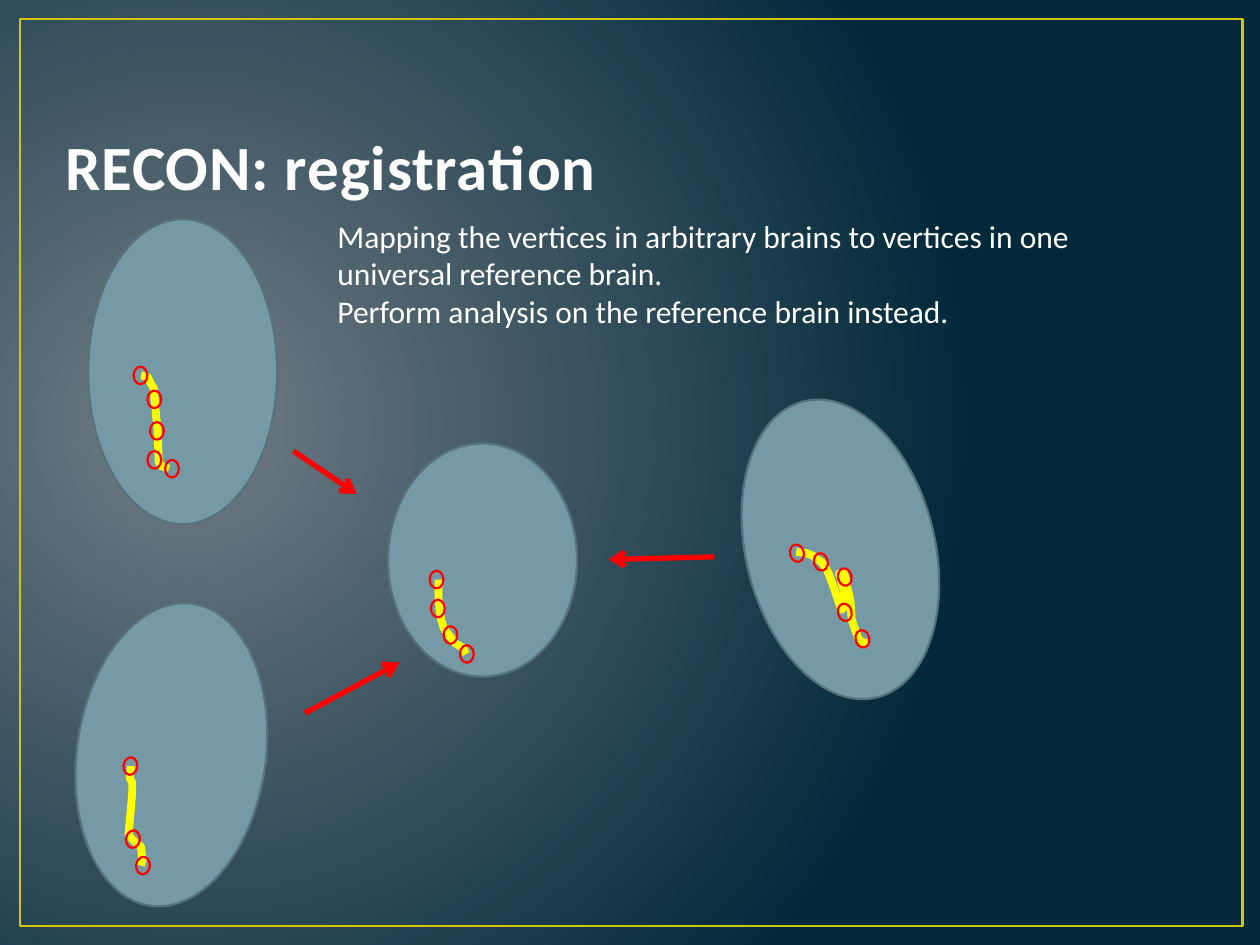
from lxml import etree
from pptx import Presentation
from pptx import util as u
from pptx.dml.color import RGBColor
from pptx.enum import shapes, text
from pptx.oxml import ns

PX = 9144
GLOW = RGBColor(0x71, 0x7C, 0x84)
NAVY = RGBColor(0x01, 0x29, 0x3A)
GOLD = RGBColor(0xCF, 0xC6, 0x0D)
OFF_WHITE = RGBColor(0xFE, 0xFE, 0xFE)
WHITE = RGBColor(0xFF, 0xFF, 0xFF)
BRAIN = RGBColor(0x75, 0x9A, 0xA5)
BRAIN_EDGE = RGBColor(0x57, 0x72, 0x7A)
YELLOW = RGBColor(0xFF, 0xFF, 0x00)
RED = RGBColor(0xFF, 0x00, 0x00)
VERTEX = (11, 14)

BRAINS = [
    dict(box=(308, 352, 150, 185), angle=0,
         trace=[(40, 108), (40, 123), (42, 139), (44, 146), (49, 153),
                (54, 159), (59, 162), (62, 167)],
         vertices=[(33, 101), (34, 124), (57, 160), (44, 145)]),
    dict(box=(70, 174, 150, 242), angle=0,
         trace=[(42, 124), (47, 125), (50, 131), (52, 134), (54, 157),
                (55, 165), (56, 193), (58, 196), (64, 198)],
         vertices=[(36, 117), (47, 136), (49, 161), (47, 184), (61, 191)]),
    dict(box=(61, 478, 150, 242), angle=7.9,
         trace=[(43, 130), (42, 140), (44, 143), (44, 149), (43, 163),
                (41, 184), (43, 187), (46, 190), (48, 192), (51, 194),
                (52, 205), (51, 209)],
         vertices=[(37, 123), (39, 181), (47, 202)]),
    dict(box=(592, 315, 150, 242), angle=346.1,
         trace=[(40, 123), (48, 124), (53, 126), (55, 128), (60, 131),
                (63, 135), (66, 141), (70, 152), (75, 167), (76, 169),
                (78, 167), (79, 161), (79, 159), (74, 140), (78, 140),
                (83, 162), (84, 177), (89, 191), (91, 194), (94, 195),
                (97, 196)],
         vertices=[(35, 117), (73, 164), (73, 136), (87, 185), (54, 124)]),
]
ARROWS = [(233, 358, 283, 392), (242, 566, 317, 526), (567, 442, 483, 444)]


def emu(lengths):
    """Turn px lengths into EMU."""
    return [u.Emu(n * PX) for n in lengths]


def style(sp, line, width, fill=None):
    """Set the outline and fill of a shape and drop its shadow."""
    sp.shadow.inherit = False
    sp.line.color.rgb = line
    sp.line.width = u.Pt(width)
    if fill is None:
        sp.fill.background()
    else:
        sp.fill.solid()
        sp.fill.fore_color.rgb = fill


def add_preset(parent, kind, box, line, width, fill=None, angle=0):
    """Add a preset shape to a slide or group."""
    sp = parent.shapes.add_shape(kind, *emu(box))
    sp.rotation = angle
    style(sp, line, width, fill)


def add_text(s, box, lines, size, color, bold=None, spacing=None,
             anchor=text.MSO_ANCHOR.TOP, fit=text.MSO_AUTO_SIZE.NONE):
    """Add a wrapped text box with one paragraph per line."""
    tf = s.shapes.add_textbox(*emu(box)).text_frame
    tf.word_wrap = True
    tf.auto_size = fit
    tf.vertical_anchor = anchor
    for i, line in enumerate(lines):
        p = tf.add_paragraph() if i else tf.paragraphs[0]
        r = p.add_run()
        r.text = line
        r.font.name = "Calibri"
        r.font.size = u.Pt(size)
        r.font.bold = bold
        r.font.color.rgb = color
        if spacing:
            r.font._element.set("spc", str(spacing))


def add_background(s):
    """Paint a circular gradient glowing from the left."""
    fill = s.background.fill
    fill.gradient()
    for stop, color, position in zip(fill.gradient_stops, (GLOW, NAVY), (0, 1)):
        stop.color.rgb = color
        stop.position = position
    grad = s.element.find(".//" + ns.qn("a:gradFill"))
    grad.remove(grad.find(ns.qn("a:lin")))
    circle = etree.SubElement(grad, ns.qn("a:path"), path="circle")
    etree.SubElement(circle, ns.qn("a:fillToRect"),
                     l="15000", t="50000", r="85000", b="60000")


def add_brain(s, box, angle, trace, vertices):
    """Draw a brain with its yellow trace and red vertices in a box."""
    x, y = box[:2]
    group = s.shapes.add_group_shape()
    oval = shapes.MSO_SHAPE.OVAL
    add_preset(group, oval, box, BRAIN_EDGE, 1.25, BRAIN, angle)
    points = [(x + dx, y + dy) for dx, dy in trace]
    builder = group.shapes.build_freeform(*points[0], scale=PX)
    builder.add_line_segments(points[1:], close=False)
    style(builder.convert_to_shape(), YELLOW, 4.5)
    for dx, dy in vertices:
        add_preset(group, oval, (x + dx, y + dy, *VERTEX), RED, 1.25, angle=angle)


def add_arrow(s, ends):
    """Draw a red arrow pointing at the reference brain."""
    c = s.shapes.add_connector(shapes.MSO_CONNECTOR.STRAIGHT, *emu(ends))
    c.line.color.rgb = RED
    c.line.width = u.Pt(3)
    etree.SubElement(c.line._get_or_add_ln(), ns.qn("a:tailEnd"), type="arrow")
    etree.SubElement(c._element.spPr, ns.qn("a:effectLst"))


def main():
    """Build the registration slide and save it."""
    prs = Presentation()
    prs.slide_width, prs.slide_height = emu((1000, 750))
    s = prs.slides.add_slide(prs.slide_layouts[6])
    add_background(s)
    add_preset(s, shapes.MSO_SHAPE.RECTANGLE, (16, 15, 970, 720), GOLD, 1.5)
    add_text(s, (42, 58, 937, 108), ["RECON: registration"], 36, OFF_WHITE,
             bold=True, spacing=50, anchor=text.MSO_ANCHOR.BOTTOM)
    for brain in BRAINS:
        add_brain(s, **brain)
    add_text(s, (258, 167, 617, 101),
             ["Mapping the vertices in arbitrary brains to vertices in one "
              "universal reference brain.",
              "Perform analysis on the reference brain instead."],
             18, WHITE, fit=text.MSO_AUTO_SIZE.SHAPE_TO_FIT_TEXT)
    for ends in ARROWS:
        add_arrow(s, ends)
    prs.save("out.pptx")


if __name__ == "__main__":
    main()
